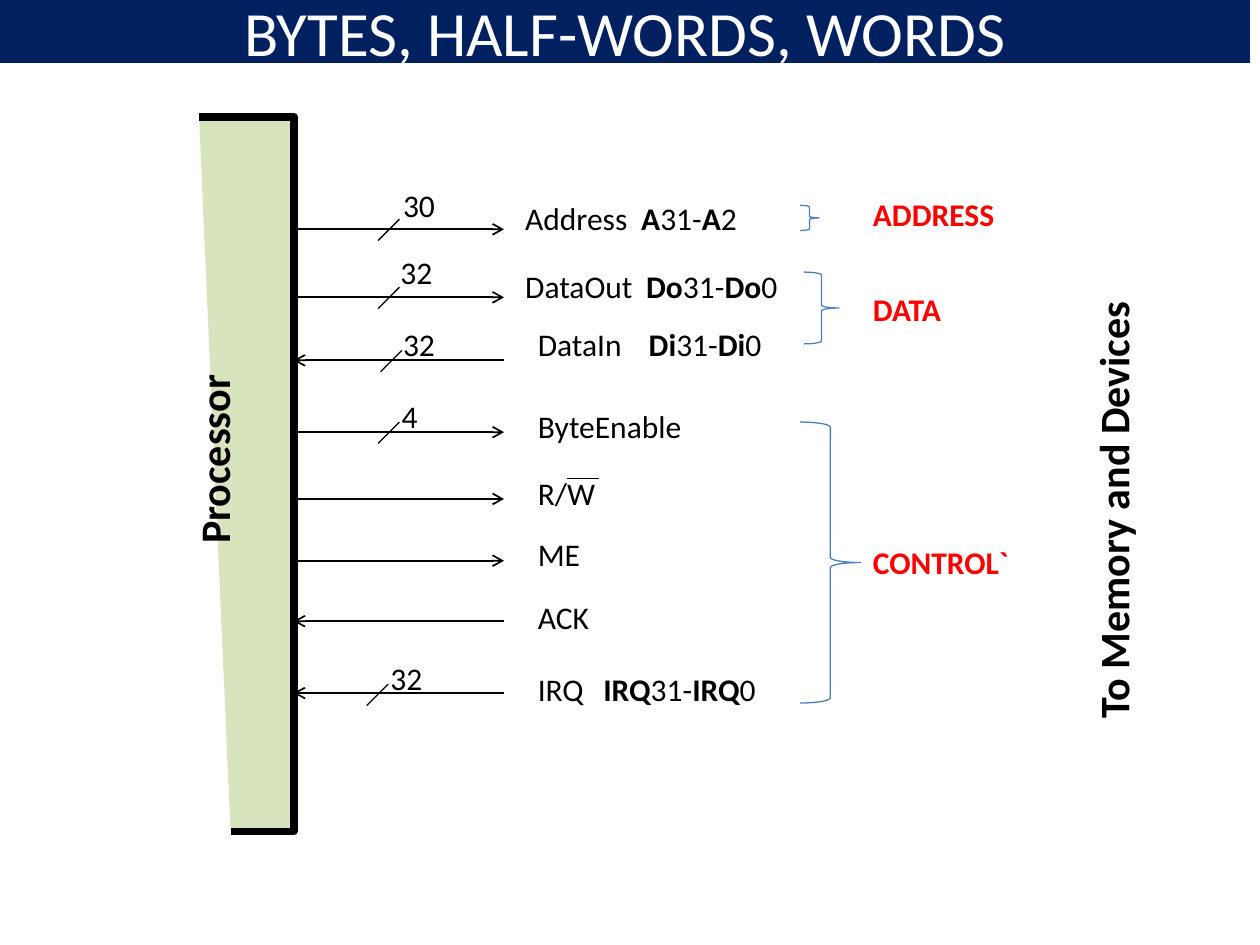
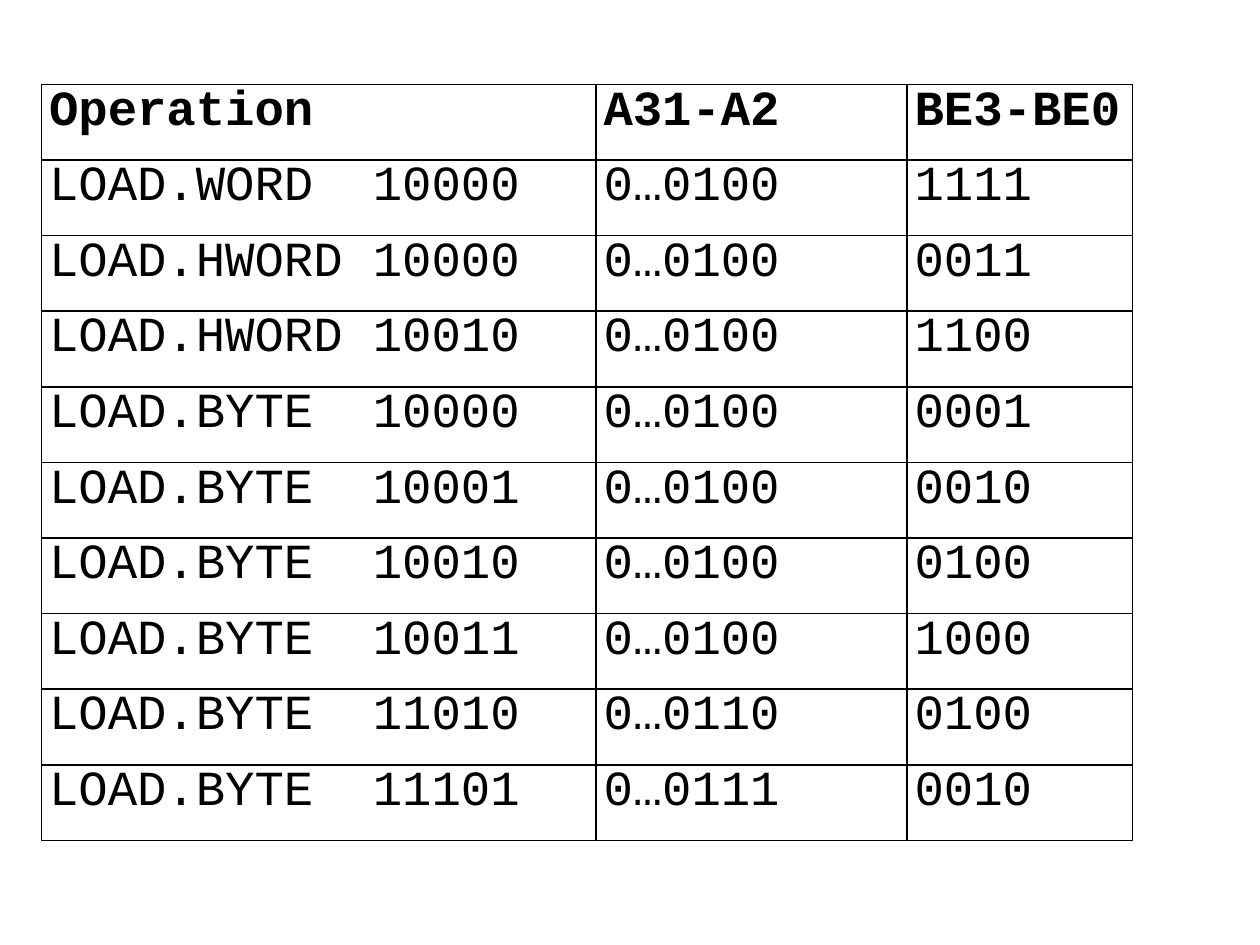
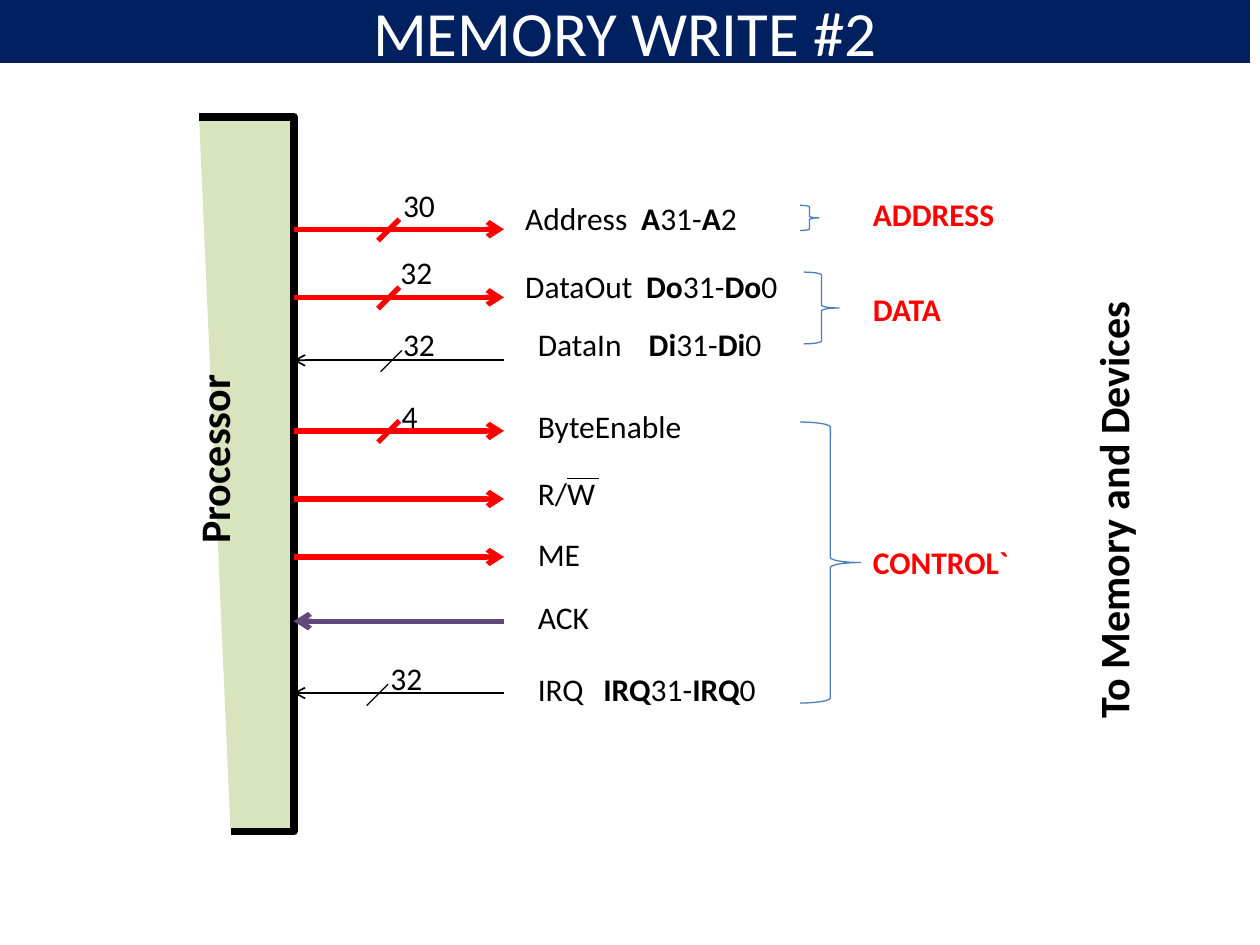
from dataclasses import dataclass
from typing import Any, NamedTuple

from lxml.etree import SubElement as add_node
from pptx import Presentation as Deck
from pptx.dml.color import RGBColor as Rgb
from pptx.enum.shapes import MSO_CONNECTOR as Link, MSO_SHAPE as Form
from pptx.enum.text import MSO_ANCHOR as Anchor, MSO_AUTO_SIZE as Fit, PP_ALIGN as Align
from pptx.oxml.ns import qn
from pptx.util import Emu, Pt

SCALE = 9144


@dataclass(frozen=True)
class Theme:
    navy: str = "002060"
    white: str = "FFFFFF"
    black: str = "000000"
    red: str = "FF0000"
    plum: str = "604A7B"
    green: str = "D7E4BD"
    blue: str = "4B7EBC"
    sans: str = "Calibri"
    mono: str = "Courier New"
    title: int = 36
    cell: int = 28
    side: int = 24
    label: int = 18
    thin: float = 0.75
    wire: float = 1
    bold: float = 3
    wall: float = 4.5


LOOK = Theme()


class Box(NamedTuple):
    left: int
    top: int
    width: int
    height: int


class Point(NamedTuple):
    x: int
    y: int


class Ink(NamedTuple):
    color: str
    wire: float
    slash: float
    rise: int = 0


class Bus(NamedTuple):
    bits: str
    text: Box
    slash: Point


class Signal(NamedTuple):
    name: str
    text: str
    box: Box
    y: int
    inward: bool = False
    tab: int = 0
    bus: Bus | None = None


class Group(NamedTuple):
    text: str
    box: Box
    brace: Box


PLAIN = Ink(LOOK.black, LOOK.wire, LOOK.thin)
HOT = Ink(LOOK.red, LOOK.bold, LOOK.bold)
REPLY = Ink(LOOK.plum, LOOK.bold, LOOK.bold)
WALL, REACH, SLASH = 233, 400, 17

SIGNALS = [
    Signal("address", "Address\t*A*31-*A*2", Box(407, 153, 212, 40), 182, tab=92,
           bus=Bus("30", Box(310, 143, 48, 40), Point(300, 174))),
    Signal("out", "DataOut\t*Do*31-*Do*0", Box(407, 207, 244, 40), 236, tab=96,
           bus=Bus("32", Box(308, 196, 48, 40), Point(300, 228))),
    Signal("in", "DataIn\t*Di*31-*Di*0", Box(417, 253, 222, 40), 286, True, 88,
           Bus("32", Box(310, 253, 48, 40), Point(302, 278))),
    Signal("enable", "ByteEnable", Box(417, 318, 148, 40), 343,
           bus=Bus("4", Box(309, 310, 34, 40), Point(300, 335))),
    Signal("write", "R/W", Box(417, 371, 69, 40), 396),
    Signal("memory", "ME", Box(417, 420, 58, 40), 445),
    Signal("ack", "ACK", Box(417, 470, 72, 40), 493, True),
    Signal("irq", "IRQ\t*IRQ*31-*IRQ*0", Box(417, 527, 224, 40), 550, True, 52,
           Bus("32", Box(300, 518, 48, 40), Point(291, 543))),
]
GROUPS = [
    Group("*ADDRESS*", Box(683, 150, 117, 40), Box(635, 163, 15, 20)),
    Group("*DATA*", Box(683, 225, 75, 40), Box(638, 216, 28, 57)),
    Group("*CONTROL`*", Box(683, 426, 129, 40), Box(635, 335, 48, 223)),
]
SIDES = [
    ("*Processor*", Box(78, 325, 183, 50)),
    ("*To Memory and Devices*", Box(682, 354, 402, 50)),
]
STORE = {
    "address": HOT,
    "out": HOT,
    "enable": HOT._replace(rise=1),
    "write": HOT,
    "memory": HOT._replace(rise=3),
    "ack": REPLY,
}
ROWS = [
    ("*Operation*", "*A31-A2*", "*BE3-BE0*"),
    ("LOAD.WORD\t10000", "0…0100", "1111"),
    ("LOAD.HWORD\t10000", "0…0100", "0011"),
    ("LOAD.HWORD\t10010", "0…0100", "1100"),
    ("LOAD.BYTE\t10000", "0…0100", "0001"),
    ("LOAD.BYTE\t10001", "0…0100", "0010"),
    ("LOAD.BYTE\t10010", "0…0100", "0100"),
    ("LOAD.BYTE\t10011", "0…0100", "1000"),
    ("LOAD.BYTE\t11010", "0…0110", "0100"),
    ("LOAD.BYTE\t11101", "0…0111", "0010"),
]
WIDTHS = (440, 247, 179)
ROW = 60


def px(size: int) -> Emu:
    return Emu(size * SCALE)


def place(box: Box) -> list[Emu]:
    return [px(part) for part in box]


def put(item: Any, values: dict[str, Any]) -> None:
    for key, value in values.items():
        setattr(item, key, value)


def paint(fill: Any, color: str) -> None:
    fill.solid()
    fill.fore_color.rgb = Rgb.from_string(color)


def stroke(line: Any, color: str, width: float) -> None:
    paint(line.fill, color)
    line.width = Pt(width)


def write(frame: Any, text: str, size: int, color: str = LOOK.black,
          font: str = LOOK.sans, tab: int = 0) -> None:
    par = frame.paragraphs[0]
    if tab:
        stops = add_node(par._p.get_or_add_pPr(), qn("a:tabLst"))
        add_node(stops, qn("a:tab"), pos=str(px(tab)), algn="l")
    for turn, part in enumerate(text.split("*")):
        if part:
            run = par.add_run()
            run.text = part
            put(run.font, {"name": font, "size": Pt(size), "bold": turn % 2 == 1})
            run.font.color.rgb = Rgb.from_string(color)


def add_text(slide: Any, text: str, box: Box, size: int = LOOK.label,
             color: str = LOOK.black, tab: int = 0, turn: int = 0) -> None:
    shape = slide.shapes.add_textbox(*place(box))
    shape.rotation = turn
    put(shape.text_frame, {"word_wrap": False, "auto_size": Fit.SHAPE_TO_FIT_TEXT})
    write(shape.text_frame, text, size, color, tab=tab)


def add_line(slide: Any, start: Point, end: Point, color: str, width: float,
             arrow: bool = False) -> None:
    link = slide.shapes.add_connector(Link.STRAIGHT, *place(start), *place(end))
    stroke(link.line, color, width)
    props = link._element.spPr
    if arrow:
        add_node(props.find(qn("a:ln")), qn("a:tailEnd"), type="arrow")
    add_node(props, qn("a:effectLst"))


def add_title(slide: Any, text: str) -> None:
    band = slide.shapes.add_shape(Form.RECTANGLE, *place(Box(0, 0, 992, 50)))
    band.shadow.inherit = False
    paint(band.fill, LOOK.navy)
    band.line.fill.background()
    band.text_frame.vertical_anchor = Anchor.MIDDLE
    band.text_frame.paragraphs[0].alignment = Align.CENTER
    write(band.text_frame, text, LOOK.title, LOOK.white)


def add_chip(slide: Any) -> None:
    outline = slide.shapes.build_freeform(158, 93, scale=float(SCALE))
    outline.add_line_segments([(WALL, 93), (WALL, 660), (183, 660)], close=False)
    chip = outline.convert_to_shape()
    chip.shadow.inherit = False
    paint(chip.fill, LOOK.green)
    stroke(chip.line, LOOK.black, LOOK.wall)


def add_signal(slide: Any, signal: Signal, ink: Ink) -> None:
    y = signal.y - ink.rise
    ends = [Point(WALL, y), Point(REACH, y)]
    if signal.inward:
        ends.reverse()
    add_line(slide, *ends, ink.color, ink.wire, arrow=True)
    add_text(slide, signal.text, signal.box, tab=signal.tab)
    if signal.bus:
        x, top = signal.bus.slash
        top -= ink.rise
        add_line(slide, Point(x + SLASH, top), Point(x, top + SLASH), ink.color, ink.slash)
        add_text(slide, signal.bus.bits, signal.bus.text)


def add_group(slide: Any, group: Group) -> None:
    brace = slide.shapes.add_shape(Form.RIGHT_BRACE, *place(group.brace))
    brace.shadow.inherit = False
    brace.fill.background()
    stroke(brace.line, LOOK.blue, LOOK.thin)
    add_text(slide, group.text, group.box, color=LOOK.red)


def draw_pins(slide: Any, title: str, inks: dict[str, Ink]) -> None:
    add_title(slide, title)
    add_chip(slide)
    for signal in SIGNALS:
        add_signal(slide, signal, inks.get(signal.name, PLAIN))
    add_line(slide, Point(450, 380), Point(475, 380), LOOK.black, LOOK.thin)
    for text, box in SIDES:
        add_text(slide, text, box, LOOK.side, turn=270)
    for group in GROUPS:
        add_group(slide, group)


def frame_cell(cell: Any) -> None:
    props = cell._tc.get_or_add_tcPr()
    for side in ("lnL", "lnR", "lnT", "lnB"):
        edge = add_node(props, qn(f"a:{side}"), w=str(Pt(LOOK.wire)))
        fill = add_node(edge, qn("a:solidFill"))
        add_node(fill, qn("a:srgbClr"), val=LOOK.black)
    cell.fill.background()


def draw_loads(slide: Any) -> None:
    box = Box(33, 67, sum(WIDTHS), ROW * len(ROWS))
    table = slide.shapes.add_table(len(ROWS), len(WIDTHS), *place(box)).table
    put(table, {"first_row": False, "horz_banding": False})
    for column, width in zip(table.columns, WIDTHS):
        column.width = px(width)
    for row, texts in zip(table.rows, ROWS):
        row.height = px(ROW)
        for cell, text in zip(row.cells, texts):
            put(cell, {"margin_left": px(6), "margin_right": px(6),
                       "margin_top": 0, "margin_bottom": 0})
            frame_cell(cell)
            write(cell.text_frame, text, LOOK.cell, font=LOOK.mono,
                  tab=257 if "\t" in text else 0)


def main() -> None:
    deck = Deck()
    put(deck, {"slide_width": px(1000), "slide_height": px(750)})
    first, second, third = [deck.slides.add_slide(deck.slide_layouts[6]) for _ in range(3)]
    draw_pins(first, "BYTES, HALF-WORDS, WORDS", {})
    draw_loads(second)
    draw_pins(third, "MEMORY WRITE #2", STORE)
    deck.save("out.pptx")


if __name__ == "__main__":
    main()
